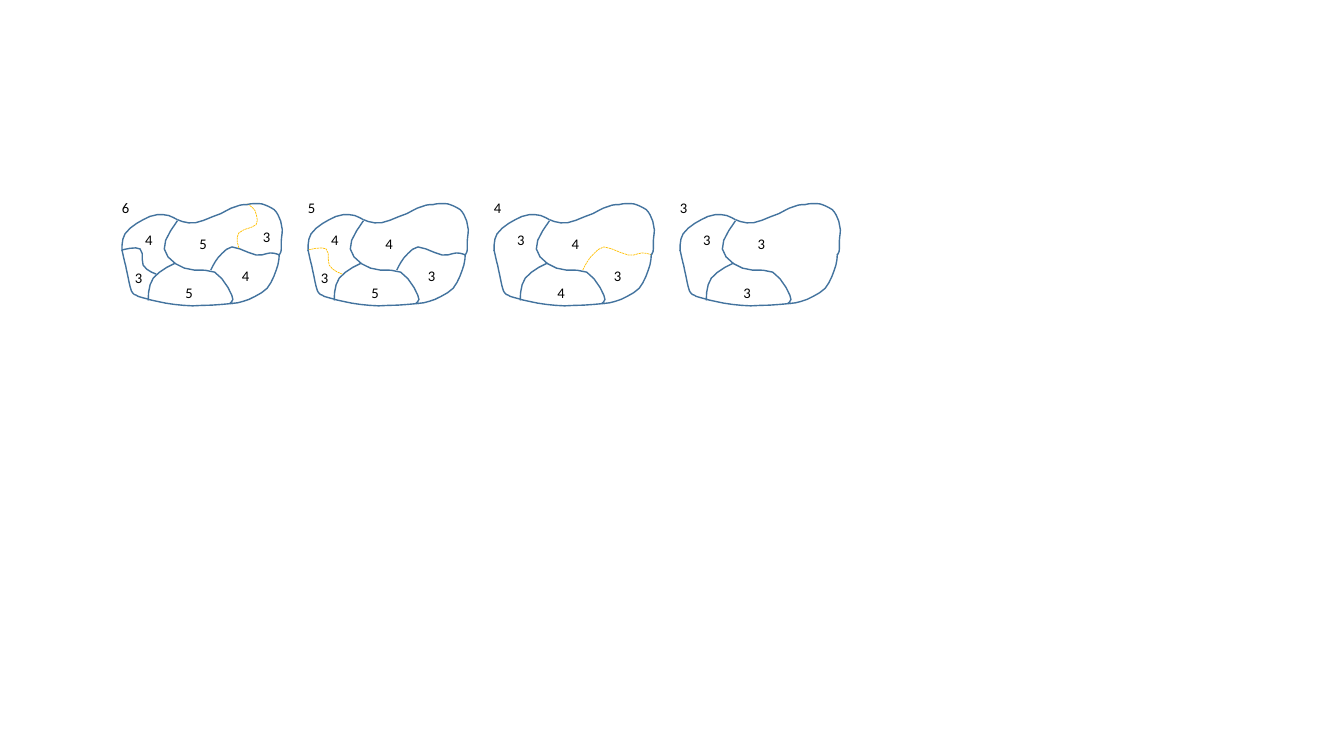
"""Draw a planar map whose borders are erased one at a time over four stages."""
from dataclasses import dataclass

from pptx import Presentation
from pptx.dml.color import RGBColor
from pptx.enum.dml import MSO_LINE_DASH_STYLE as Dash
from pptx.enum.text import MSO_AUTO_SIZE as AutoSize
from pptx.shapes.group import GroupShape
from pptx.util import Inches, Pt

Point = tuple[float, float]

BLUE = RGBColor(0x43, 0x73, 0x9E)
AMBER = RGBColor(0xFF, 0xC0, 0x00)
BLACK = RGBColor(0x00, 0x00, 0x00)

STAGE_PITCH = 1.845
CURVE_STEPS = 3
LABEL_WIDTH, LABEL_HEIGHT = 0.28, 0.29
COUNT_PLACE = (1.11, 1.92)
FONT_FORMAT = {"name": "Calibri", "size": Pt(10.5)}
TEXT_FORMAT = {"word_wrap": False, "auto_size": AutoSize.SHAPE_TO_FIT_TEXT}


@dataclass(frozen=True)
class Pen:
    color: RGBColor
    line_format: dict


@dataclass(frozen=True)
class Border:
    points: tuple[Point, ...]


@dataclass(frozen=True)
class Stage:
    neighbours: dict[str, int]


KEPT = Pen(BLUE, {"width": Pt(1)})
ERASED = Pen(AMBER, {"width": Pt(0.5), "dash_style": Dash.SQUARE_DOT})

INNER_BORDERS = (
    Border(((1.76, 2.19), (1.69, 2.29), (1.62, 2.39), (1.63, 2.47),
            (1.64, 2.55), (1.74, 2.63), (1.83, 2.66), (1.91, 2.7),
            (2.05, 2.66), (2.13, 2.7), (2.2, 2.74), (2.28, 2.87),
            (2.3, 2.93), (2.33, 2.98), (2.29, 3), (2.28, 3.01))),
    Border(((1.74, 2.61), (1.65, 2.65), (1.57, 2.7), (1.52, 2.76),
            (1.48, 2.82), (1.47, 2.9), (1.47, 2.98))),
)
ERASABLE_BORDERS = (
    Border(((2.37, 2.46), (2.35, 2.4), (2.34, 2.35), (2.37, 2.31),
            (2.4, 2.27), (2.52, 2.26), (2.54, 2.23), (2.57, 2.19),
            (2.54, 2.13), (2.53, 2.09), (2.51, 2.06), (2.48, 2.04),
            (2.45, 2.02))),
    Border(((1.55, 2.72), (1.5, 2.7), (1.45, 2.68), (1.42, 2.63),
            (1.4, 2.59), (1.43, 2.5), (1.39, 2.47), (1.36, 2.45),
            (1.29, 2.46), (1.21, 2.48))),
    Border(((2.09, 2.68), (2.11, 2.64), (2.13, 2.6), (2.16, 2.56),
            (2.2, 2.52), (2.24, 2.46), (2.3, 2.45), (2.36, 2.45),
            (2.48, 2.52), (2.54, 2.53), (2.61, 2.54), (2.64, 2.51),
            (2.68, 2.51), (2.72, 2.51), (2.75, 2.52), (2.77, 2.53))),
)
OUTER_BORDERS = (
    Border(((1.47, 2.97), (1.56, 2.99), (1.64, 3.01), (1.73, 3.02),
            (1.82, 3.03), (1.91, 3.04), (2, 3.03), (2.1, 3.03),
            (2.2, 3.02), (2.31, 3.01))),
    Border(((1.21, 2.48), (1.22, 2.52), (1.23, 2.57), (1.24, 2.61),
            (1.25, 2.64), (1.25, 2.66), (1.26, 2.7), (1.27, 2.74),
            (1.28, 2.8), (1.29, 2.84), (1.3, 2.87), (1.3, 2.89),
            (1.32, 2.91), (1.33, 2.93), (1.35, 2.92), (1.37, 2.94),
            (1.4, 2.95), (1.44, 2.96), (1.48, 2.97))),
    Border(((2.3, 3.01), (2.36, 3.01), (2.41, 2.99), (2.47, 2.97),
            (2.53, 2.94), (2.6, 2.91), (2.65, 2.86), (2.69, 2.81),
            (2.72, 2.74), (2.74, 2.68), (2.76, 2.63), (2.77, 2.57),
            (2.77, 2.52))),
    Border(((2.45, 2.03), (2.48, 2.02), (2.51, 2.02), (2.54, 2.02),
            (2.57, 2.02), (2.6, 2.02), (2.62, 2.03), (2.65, 2.04),
            (2.69, 2.06), (2.72, 2.08), (2.74, 2.1), (2.76, 2.13),
            (2.77, 2.16), (2.79, 2.19), (2.79, 2.24), (2.8, 2.28),
            (2.8, 2.32), (2.79, 2.36), (2.79, 2.39), (2.79, 2.42),
            (2.79, 2.45), (2.79, 2.47), (2.79, 2.5), (2.78, 2.51),
            (2.77, 2.53))),
    Border(((1.21, 2.49), (1.21, 2.43), (1.21, 2.37), (1.24, 2.32),
            (1.28, 2.26), (1.36, 2.21), (1.42, 2.18), (1.48, 2.14),
            (1.57, 2.12), (1.62, 2.13), (1.68, 2.13), (1.72, 2.16),
            (1.76, 2.18))),
    Border(((1.76, 2.18), (1.8, 2.2), (1.87, 2.22), (1.94, 2.21),
            (2.01, 2.2), (2.12, 2.14), (2.19, 2.12), (2.25, 2.09),
            (2.29, 2.06), (2.34, 2.05), (2.38, 2.03), (2.42, 2.03),
            (2.45, 2.03))),
)
REGION_PLACES = {
    "centre": (1.88, 2.28), "northeast": (2.51, 2.21), "east": (2.3, 2.6),
    "south": (1.74, 2.77), "northwest": (1.34, 2.24), "west": (1.24, 2.62),
}
STAGES = (
    Stage({"centre": 5, "northeast": 3, "east": 4, "south": 5, "northwest": 4, "west": 3}),
    Stage({"centre": 4, "east": 3, "south": 5, "northwest": 4, "west": 3}),
    Stage({"centre": 4, "east": 3, "south": 4, "northwest": 3}),
    Stage({"centre": 3, "south": 3, "northwest": 3}),
)


def apply_format(target: object, values: dict) -> None:
    for name, value in values.items():
        setattr(target, name, value)


def curve_point(controls: tuple[Point, ...], t: float) -> Point:
    weights = ((1 - t) ** 3, 3 * t * (1 - t) ** 2, 3 * t * t * (1 - t), t ** 3)
    x, y = (sum(w * value for w, value in zip(weights, axis)) for axis in zip(*controls))
    return x, y


def trace(border: Border) -> list[Point]:
    points = border.points
    return [points[0]] + [
        curve_point(points[start:start + 4], step / CURVE_STEPS)
        for start in range(0, len(points) - 1, 3)
        for step in range(1, CURVE_STEPS + 1)
    ]


def draw_border(group: GroupShape, border: Border, shift: float, pen: Pen) -> None:
    start, *rest = [(Inches(x + shift), Inches(y)) for x, y in trace(border)]
    builder = group.shapes.build_freeform(*start)
    builder.add_line_segments(rest, close=False)
    shape = builder.convert_to_shape()
    shape.shadow.inherit = False
    shape.fill.background()
    shape.line.color.rgb = pen.color
    apply_format(shape.line, pen.line_format)


def draw_number(group: GroupShape, number: int, place: Point, shift: float) -> None:
    left, top = place
    box = group.shapes.add_textbox(
        Inches(left + shift), Inches(top), Inches(LABEL_WIDTH), Inches(LABEL_HEIGHT))
    apply_format(box.text_frame, TEXT_FORMAT)
    run = box.text_frame.paragraphs[0].add_run()
    run.text = str(number)
    apply_format(run.font, FONT_FORMAT)
    run.font.color.rgb = BLACK


def draw_stage(group: GroupShape, stage: Stage, index: int) -> None:
    shift = index * STAGE_PITCH
    for border in INNER_BORDERS + ERASABLE_BORDERS[index + 1:]:
        draw_border(group, border, shift, KEPT)
    for border in ERASABLE_BORDERS[index:index + 1]:
        draw_border(group, border, shift, ERASED)
    for region, count in stage.neighbours.items():
        draw_number(group, count, REGION_PLACES[region], shift)
    draw_number(group, len(stage.neighbours), COUNT_PLACE, shift)
    for border in OUTER_BORDERS:
        draw_border(group, border, shift, KEPT)


def main() -> None:
    presentation = Presentation()
    apply_format(presentation, {"slide_width": Inches(13.33), "slide_height": Inches(7.5)})
    slide = presentation.slides.add_slide(presentation.slide_layouts[6])
    for index, stage in enumerate(STAGES):
        draw_stage(slide.shapes.add_group_shape(), stage, index)
    presentation.save("out.pptx")


if __name__ == "__main__":
    main()
